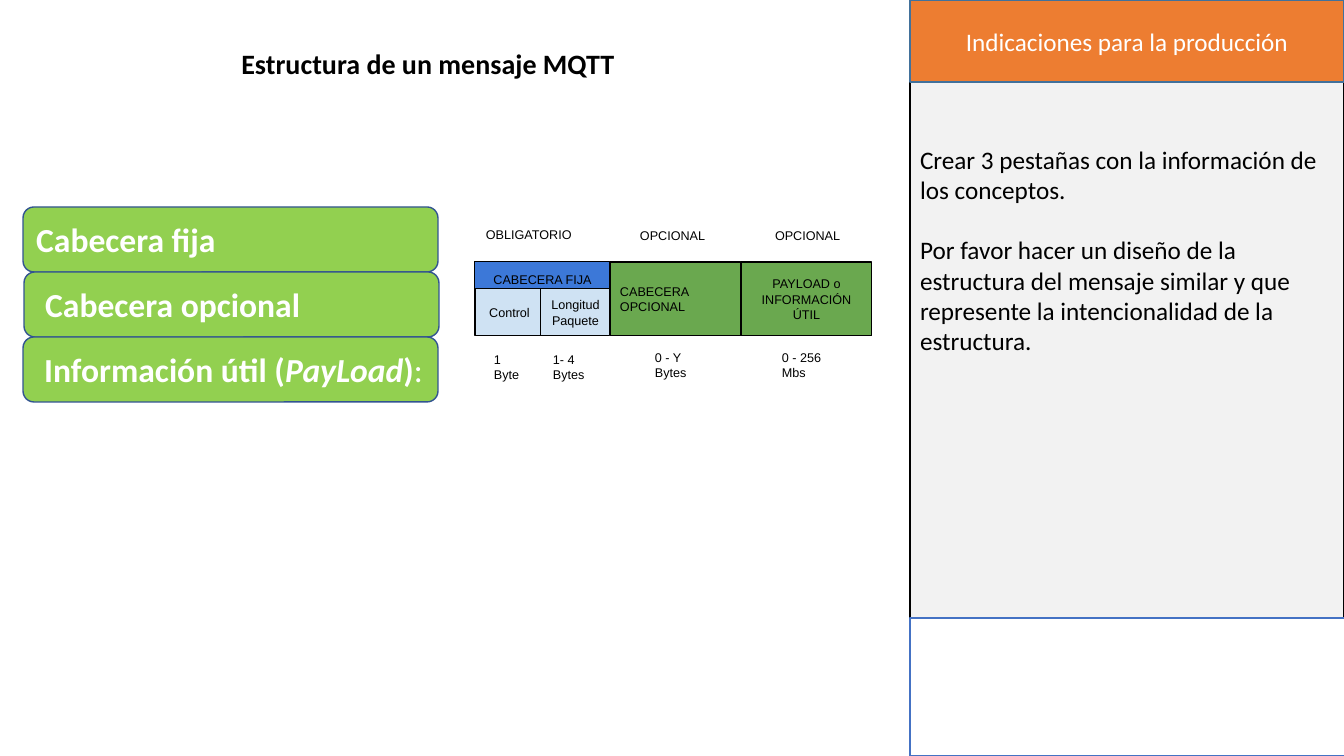
import pptx
import pptx.util
import pptx.dml.color
import pptx.enum.shapes
import pptx.enum.text

RGBColor = pptx.dml.color.RGBColor
BLACK = RGBColor(0x00, 0x00, 0x00)
WHITE = RGBColor(0xFF, 0xFF, 0xFF)
GRAY = RGBColor(0xF2, 0xF2, 0xF2)
ORANGE = RGBColor(0xED, 0x7D, 0x31)
STEEL = RGBColor(0x42, 0x71, 0x9B)
BLUE = RGBColor(0x44, 0x72, 0xC4)
LIME = RGBColor(0x92, 0xD0, 0x50)
NAVY = RGBColor(0x32, 0x54, 0x91)
GREEN = RGBColor(0x6A, 0xA8, 0x4F)
HEADER_BLUE = RGBColor(0x3C, 0x78, 0xD8)
PALE_BLUE = RGBColor(0xCF, 0xE2, 0xF3)

SHAPE = pptx.enum.shapes.MSO_SHAPE
ALIGN = pptx.enum.text.PP_ALIGN
ANCHOR = pptx.enum.text.MSO_ANCHOR
SCALE = 914400 / 100.8


def px(n):
    """Turn pixels into EMU."""
    return pptx.util.Emu(round(n * SCALE))


def write(sp, paragraphs, size=18, font="Calibri", color=BLACK, bold=False,
          align=ALIGN.LEFT, anchor=ANCHOR.TOP, insets=(10, 5, 10, 5), gap=0):
    """Fill a shape with paragraphs; each is a string or a list of (text, bold, italic)."""
    tf = sp.text_frame
    tf.word_wrap = True
    tf.vertical_anchor = anchor
    tf.margin_left, tf.margin_top, tf.margin_right, tf.margin_bottom = map(px, insets)
    for i, runs in enumerate(paragraphs):
        p = tf.paragraphs[0] if i == 0 else tf.add_paragraph()
        p.alignment = align
        if i:
            p.space_before = pptx.util.Pt(gap)
        for text, b, italic in [(runs, bold, False)] if isinstance(runs, str) else runs:
            r = p.add_run()
            r.text = text
            r.font.size = pptx.util.Pt(size)
            r.font.name = font
            r.font.bold = b
            r.font.italic = italic
            r.font.color.rgb = color


class Slide:
    """The current slide and the style of its elements."""

    small = dict(size=9, font="Arial", insets=(10, 10, 10, 10))

    def __init__(self, prs):
        """Add a blank slide."""
        self.s = prs.slides.add_slide(prs.slide_layouts[6])
        self.shapes = self.s.shapes

    def start_group(self):
        """Put the following elements in a new group."""
        self.shapes = self.s.shapes.add_group_shape().shapes

    def box(self, at, fill, line, paragraphs=(), width=1, kind=SHAPE.RECTANGLE, **fmt):
        """Draw a filled, outlined shape with optional text."""
        sp = self.shapes.add_shape(kind, *map(px, at))
        sp.shadow.inherit = False
        sp.fill.solid()
        sp.fill.fore_color.rgb = fill
        sp.line.color.rgb = line
        sp.line.width = pptx.util.Pt(width)
        if paragraphs:
            write(sp, paragraphs, **fmt)

    def text(self, at, paragraphs, **fmt):
        """Add a text box."""
        write(self.shapes.add_textbox(*map(px, at)), paragraphs, **fmt)

    def tab(self, at, runs, inset):
        """Draw one green rounded tab."""
        self.box(at, LIME, NAVY, [runs], kind=SHAPE.ROUNDED_RECTANGLE, size=24,
                 color=WHITE, bold=True, anchor=ANCHOR.MIDDLE, insets=(inset, 5, 10, 5))

    def field(self, at, fill, paragraphs, align=ALIGN.CENTER, anchor=ANCHOR.MIDDLE):
        """Draw one field of the message."""
        self.box(at, fill, BLACK, paragraphs, width=0.75, align=align,
                 anchor=anchor, **self.small)

    def label(self, at, text):
        """Add a small label next to the message."""
        self.text(at, [text], **self.small)


prs = pptx.Presentation()
prs.slide_width, prs.slide_height = px(1344), px(756)
slide = Slide(prs)

# Production notes
slide.box((910, 0, 434, 756), GRAY, BLACK)
slide.text((910, 139, 436, 333), [
    "Crear 3 pestañas con la información de los conceptos.",
    "Por favor hacer un diseño de la estructura del mensaje similar y que "
    "represente la intencionalidad de la estructura."], gap=21.6)
slide.box((910, 0, 434, 82), ORANGE, STEEL, ["Indicaciones para la producción"],
          color=WHITE, align=ALIGN.CENTER, anchor=ANCHOR.MIDDLE)
slide.box((910, 618, 435, 138), WHITE, BLUE)

# Title and tabs
slide.text((56, 41, 744, 44), ["Estructura de un mensaje MQTT"], size=20, bold=True,
           align=ALIGN.CENTER)
tabs = [
    (23, 10, "Cabecera fija"),
    (24, 18, "Cabecera opcional"),
    (23, 18, [("Información útil (", True, False), ("PayLoad", True, True),
              (")", True, False), (":", False, False)]),
]
for i, (x, inset, runs) in enumerate(tabs):
    slide.tab((x, 207 + 65 * i, 415, 65), runs, inset)

# Message structure
slide.start_group()
slide.field((610, 262, 131, 74), GREEN, ["CABECERA OPCIONAL"], align=ALIGN.LEFT)
slide.field((475, 262, 135, 35), HEADER_BLUE, ["CABECERA FIJA"], anchor=ANCHOR.TOP)
slide.field((475, 289, 69, 47), PALE_BLUE, ["Control"])
slide.field((541, 289, 69, 47), PALE_BLUE, ["Longitud", "Paquete"])
slide.field((741, 262, 131, 74), GREEN, ["PAYLOAD o INFORMACIÓN ÚTIL"])
for x, y, w, h, text in [
    (476, 219, 112, 35, "OBLIGATORIO"),
    (630, 220, 88, 35, "OPCIONAL"),
    (765, 220, 106, 35, "OPCIONAL"),
    (484, 342, 50, 50, "1 Byte"),
    (543, 342, 65, 50, "1- 4 Bytes"),
    (645, 340, 77, 50, "0 - Y Bytes"),
    (772, 340, 77, 50, "0 - 256 Mbs"),
]:
    slide.label((x, y, w, h), text)

prs.save("out.pptx")
